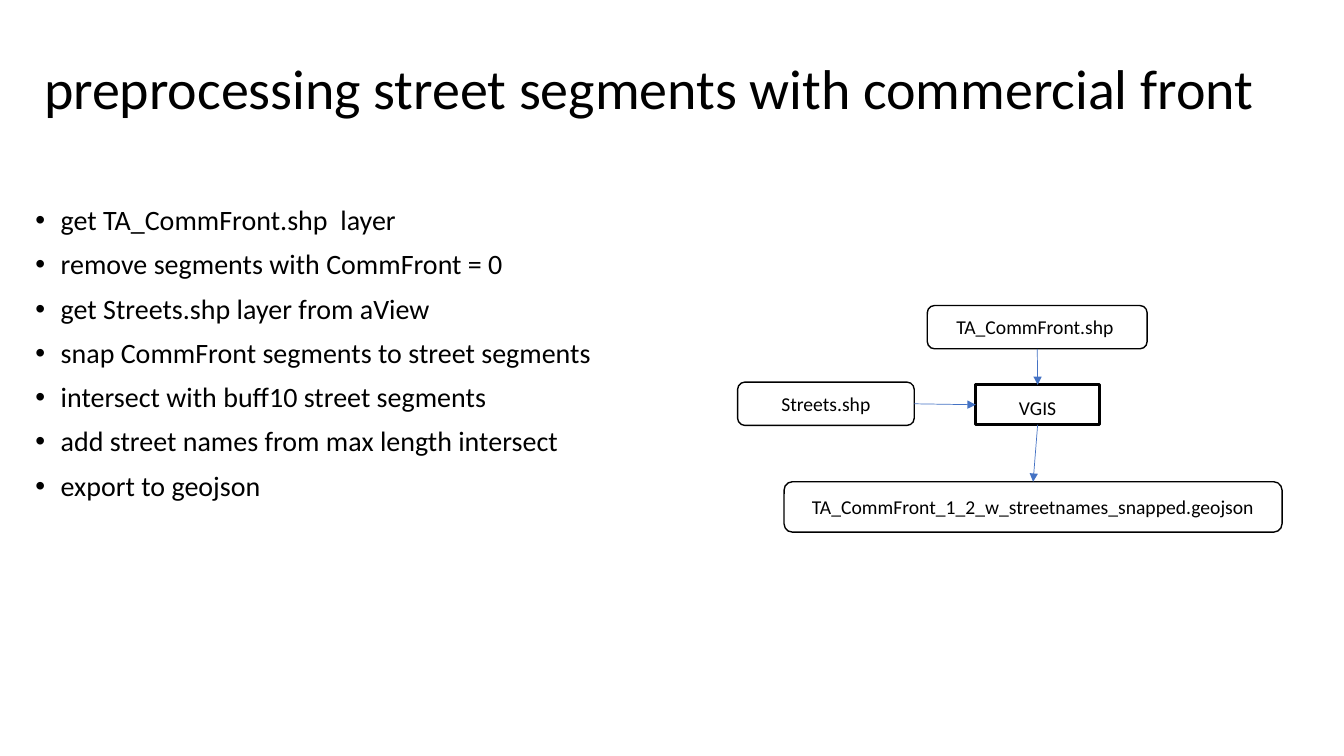
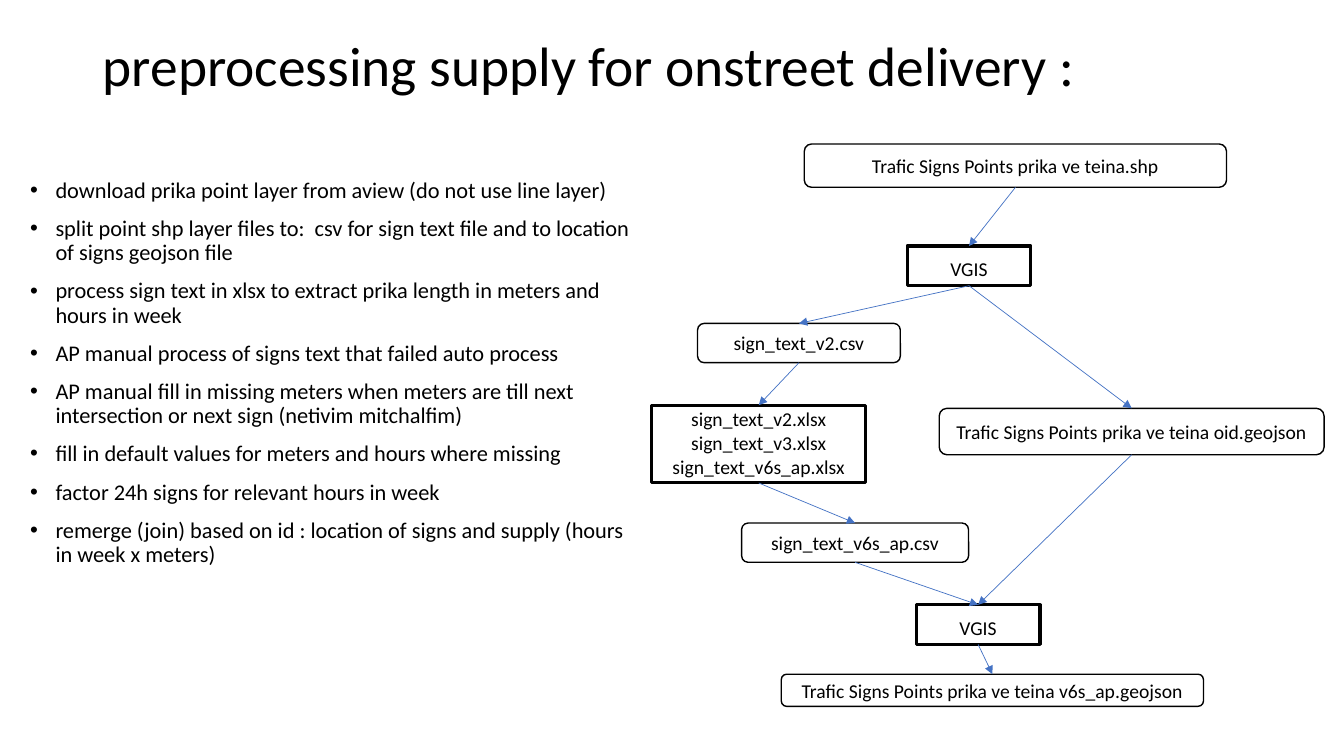
from lxml import etree
from pptx import Presentation
from pptx.dml.color import RGBColor
from pptx.enum import shapes, text
from pptx.oxml import ns
from pptx.util import Cm, Pt

FONT = "Calibri"
BLACK = RGBColor(0x00, 0x00, 0x00)
WHITE = RGBColor(0xFF, 0xFF, 0xFF)
BLUE = RGBColor(0x44, 0x72, 0xC4)
TOP, LEFT, BOTTOM, RIGHT = range(4)
TOOL = (3.12, 1.0)


def style(para, size):
    """Set the shared font on a paragraph."""
    para.font.name = FONT
    para.font.size = Pt(size)
    para.font.color.rgb = BLACK


def write(slide, area, lines, size):
    """Add a wrapping text box and return its frame."""
    frame = slide.shapes.add_textbox(*map(Cm, area)).text_frame
    frame.word_wrap = True
    frame.text = "\n".join(lines)
    for para in frame.paragraphs:
        style(para, size)
        para.line_spacing = 0.9
    return frame


def title(slide, area, words, size):
    """Add the slide title."""
    frame = write(slide, area, [words], size)
    frame.vertical_anchor = text.MSO_ANCHOR.MIDDLE


def bullets(slide, area, lines, size):
    """Add a bulleted list."""
    for para in write(slide, area, lines, size).paragraphs:
        para.space_before = Pt(10)
        props = para._p.get_or_add_pPr()
        props.set("marL", str(Cm(0.64)))
        props.set("indent", str(-Cm(0.64)))
        etree.SubElement(props, ns.qn("a:buFont")).set("typeface", "Arial")
        etree.SubElement(props, ns.qn("a:buChar")).set("char", "•")


def box(slide, kind, area, words, width, anchor):
    """Add an outlined white box with centred text."""
    shape = slide.shapes.add_shape(kind, *map(Cm, area))
    shape.shadow.inherit = False
    shape.fill.solid()
    shape.fill.fore_color.rgb = WHITE
    shape.line.color.rgb = BLACK
    shape.line.width = Pt(width)
    frame = shape.text_frame
    frame.text = words
    frame.vertical_anchor = anchor
    for para in frame.paragraphs:
        style(para, 14)
        para.alignment = text.PP_ALIGN.CENTER
    return shape


def data(slide, area, words):
    """Add a rounded box for a data file."""
    kind = shapes.MSO_SHAPE.ROUNDED_RECTANGLE
    return box(slide, kind, area, words, 1, text.MSO_ANCHOR.MIDDLE)


def step(slide, area, words):
    """Add a heavy square box for a processing step."""
    kind = shapes.MSO_SHAPE.RECTANGLE
    return box(slide, kind, area, words, 2.25, text.MSO_ANCHOR.BOTTOM)


def arrow(slide, start, end, out=BOTTOM, into=TOP):
    """Join two boxes with an arrow."""
    line = slide.shapes.add_connector(shapes.MSO_CONNECTOR.STRAIGHT, 0, 0, 0, 0)
    line.begin_connect(start, out)
    line.end_connect(end, into)
    line.line.color.rgb = BLUE
    line.line.width = Pt(0.5)
    tail = etree.SubElement(line.line._get_or_add_ln(), ns.qn("a:tailEnd"))
    tail.set("type", "triangle")
    etree.SubElement(line._element.spPr, ns.qn("a:effectLst"))


def streets(slide):
    """Build the street segments slide."""
    title(slide, (0.86, 1.02, 31.45, 2.57),
          "preprocessing street segments with commercial front", 40)
    bullets(slide, (0.64, 5.08, 16.66, 12.09), [
        "get TA_CommFront.shp  layer",
        "remove segments with CommFront = 0",
        "get Streets.shp layer from aView",
        "snap CommFront segments to street segments",
        "intersect with buff10 street segments",
        "add street names from max length intersect",
        "export to geojson",
    ], 20)
    front = data(slide, (23.37, 7.7, 5.54, 1.09), "TA_CommFront.shp ")
    street = data(slide, (18.59, 9.63, 4.45, 1.09), "Streets.shp")
    tool = step(slide, (24.59, 9.7, *TOOL), "VGIS")
    result = data(slide, (19.76, 12.14, 12.55, 1.27),
                  "TA_CommFront_1_2_w_streetnames_snapped.geojson")
    arrow(slide, front, tool)
    arrow(slide, street, tool, RIGHT, LEFT)
    arrow(slide, tool, result)


def supply(slide):
    """Build the delivery supply slide."""
    title(slide, (2.34, 1.02, 29.21, 1.42),
          "preprocessing supply for onstreet delivery :", 39.6)
    bullets(slide, (0.51, 4.39, 15.77, 12.95), [
        "download prika point layer from aview (do not use line layer)",
        "split point shp layer files to:  csv for sign text file and to "
        "location of signs geojson file",
        "process sign text in xlsx to extract prika length in meters and "
        "hours in week",
        "AP manual process of signs text that failed auto process",
        "AP manual fill in missing meters when meters are till next "
        "intersection or next sign (netivim mitchalfim)",
        "fill in default values for meters and hours where missing",
        "factor 24h signs for relevant hours in week",
        "remerge (join) based on id : location of signs and supply "
        "(hours in week x meters)",
    ], 16)
    signs = "Trafic Signs Points prika ve teina"
    source = data(slide, (20.27, 3.63, 10.64, 1.09), f"{signs}.shp")
    split = step(slide, (22.86, 6.2, *TOOL), "VGIS")
    raw = data(slide, (17.58, 8.15, 5.11, 0.99), "sign_text_v2.csv")
    sheets = step(slide, (16.43, 10.21, 5.38, 1.96),
                  "sign_text_v2.xlsx\nsign_text_v3.xlsx\nsign_text_v6s_ap.xlsx")
    places = data(slide, (23.67, 10.29, 9.7, 1.17), f"{signs} oid.geojson")
    clean = data(slide, (18.69, 13.18, 5.72, 0.99), "sign_text_v6s_ap.csv")
    merge = step(slide, (23.09, 15.24, *TOOL), "VGIS")
    result = data(slide, (19.69, 16.99, 10.64, 0.81), f"{signs} v6s_ap.geojson")
    for start, end in [(source, split), (split, raw), (split, places),
                       (raw, sheets), (sheets, clean), (clean, merge),
                       (places, merge), (merge, result)]:
        arrow(slide, start, end)


def main():
    """Build and save the slides."""
    deck = Presentation()
    deck.slide_width, deck.slide_height = Cm(33.87), Cm(19.05)
    for build in (streets, supply):
        build(deck.slides.add_slide(deck.slide_layouts[6]))
    deck.save("out.pptx")


if __name__ == "__main__":
    main()
